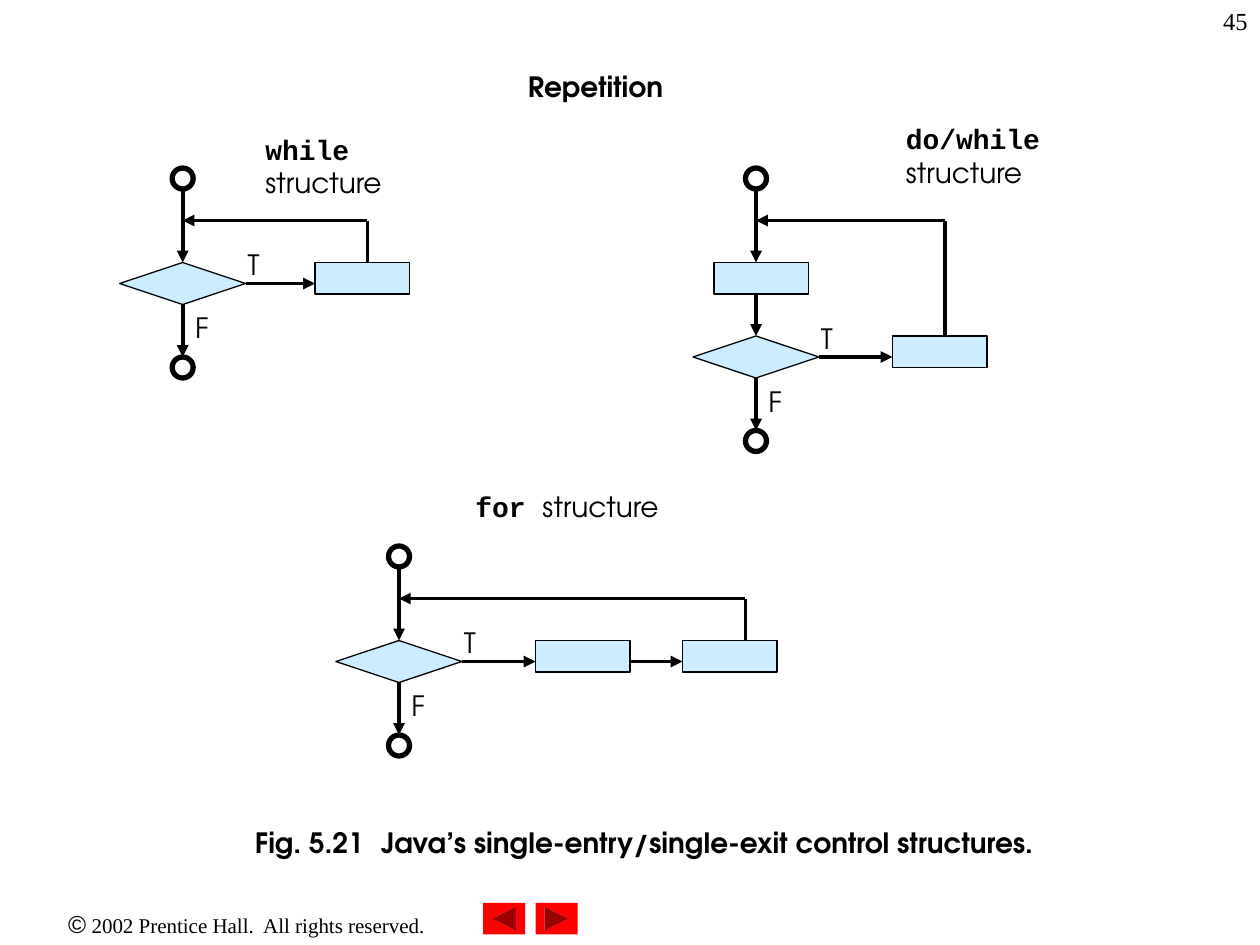
from lxml import etree
from pptx import Presentation
from pptx import util as u
from pptx.dml.color import RGBColor
from pptx.enum import shapes, text
from pptx.oxml.ns import qn

BLACK = RGBColor(0, 0, 0)
WHITE = RGBColor(255, 255, 255)
SKY = RGBColor(0xCC, 0xEC, 0xFF)
RED = RGBColor(255, 0, 0)

SANS, MONO, SERIF = "TeX Gyre Adventor", "Courier New", "Times New Roman"
KIND = shapes.MSO_SHAPE
COLS, ROWS = 120, 90  # twelve cells to the inch
BREAK = None
DOT, WIDE, TALL = 2, 9, 3  # circle size, box width, box height


def cell(n):
    return u.Inches(n / 12)


def label(slide, box, parts, align=text.PP_ALIGN.LEFT):
    """Text of (words, font, size, bold) parts in a box of cells."""
    frame = slide.shapes.add_textbox(*map(cell, box)).text_frame
    frame.word_wrap = True
    para = frame.paragraphs[0]
    para.alignment = align
    for part in parts:
        if part is BREAK:
            para = frame.add_paragraph()
            para.alignment = align
            continue
        run = para.add_run()
        run.text, run.font.name, size, run.font.bold = part
        run.font.size = u.Pt(size)
        run.font.color.rgb = BLACK


def solid(slide, kind, box, fill, width):
    shape = slide.shapes.add_shape(kind, *map(cell, box))
    shape.shadow.inherit = False
    shape.fill.solid()
    shape.fill.fore_color.rgb = fill
    if width:
        shape.line.color.rgb = BLACK
        shape.line.width = u.Pt(width)
    else:
        shape.line.fill.background()


def line(slide, start, end, arrow=True):
    link = slide.shapes.add_connector(
        shapes.MSO_CONNECTOR.STRAIGHT, *map(cell, (*start, *end)))
    link.line.color.rgb = BLACK
    link.line.width = u.Pt(2.25)
    props = link._element.spPr
    if arrow:
        etree.SubElement(props.find(qn("a:ln")), qn("a:tailEnd"), type="triangle")
    etree.SubElement(props, qn("a:effectLst"))


def loop(slide, axis, top, boxes, back, first=False):
    """Flow chart down an axis; boxes are left edges of the steps beside
    the test, back is the column of the return line, and first puts one
    step ahead of the test."""
    step = top + 9
    test = step + 7 if first else step
    foot = test + 4
    mid = test + 2
    turn = top + 5

    for y in (top, foot + 5):
        solid(slide, KIND.OVAL, (axis - DOT / 2, y, DOT, DOT), WHITE, 3)
    line(slide, (axis, top + DOT), (axis, step))
    line(slide, (axis, foot), (axis, foot + 5))
    if first:
        solid(slide, KIND.RECTANGLE, (axis - 4, step, WIDE, TALL), SKY, 0.75)
        line(slide, (axis, step + TALL), (axis, test))
    solid(slide, KIND.DIAMOND, (axis - 6, test, 12, 4), SKY, 0.75)

    left = axis + 6
    for x in boxes:
        line(slide, (left, mid), (x, mid))
        solid(slide, KIND.RECTANGLE, (x, test, WIDE, TALL), SKY, 0.75)
        left = x + WIDE
    line(slide, (back, turn), (back, test), arrow=False)
    line(slide, (back, turn), (axis, turn))

    label(slide, (axis + 5, test - 2, 4, 4.4), [("T", SANS, 16, False)])
    label(slide, (axis, foot, 4, 4.4), [("F", SANS, 16, False)])


def charts(slide):
    name = ("structure", SANS, 16, False)
    label(slide, (24.1, 12, 23, 4.4), [("while ", MONO, 16, True), name])
    loop(slide, 17.4, 16, [30], 35)
    label(slide, (85.1, 11, 18, 7.7),
          [("do/while", MONO, 16, True), BREAK, name])
    loop(slide, 72, 16, [85], 90, first=True)
    label(slide, (44.1, 46, 20, 4.4), [("for ", MONO, 16, True), name])
    loop(slide, 38, 52, [51, 65], 71)


def heads(slide):
    """Page number, title and caption."""
    label(slide, (COLS - 25, 0, 25, 6), [("45", SERIF, 14, False)],
          text.PP_ALIGN.RIGHT)
    label(slide, (49.1, 6, 16, 4.4), [("Repetition", SANS, 16, True)])
    label(slide, (23.1, 78, 78, 4.4),
          [("Fig. 5.21\tJava’s single-entry/single-exit control structures.",
            SANS, 16, True)])


def foot(slide):
    """Copyright line and page buttons."""
    top = ROWS - 4
    label(slide, (0, top, 47, 4),
          [("©", "Arial", 14, False),
           (" 2002 Prentice Hall.  All rights reserved.", SERIF, 12, False)],
          text.PP_ALIGN.CENTER)
    kinds = (KIND.ACTION_BUTTON_BACK_OR_PREVIOUS,
             KIND.ACTION_BUTTON_FORWARD_OR_NEXT)
    for i, kind in enumerate(kinds):
        solid(slide, kind, (46 + 5 * i, top, 4, 3), RED, None)


def main():
    deck = Presentation()
    deck.slide_width, deck.slide_height = cell(COLS), cell(ROWS)
    slide = deck.slides.add_slide(deck.slide_layouts[6])
    foot(slide)
    heads(slide)
    charts(slide)
    deck.save("out.pptx")


if __name__ == "__main__":
    main()
